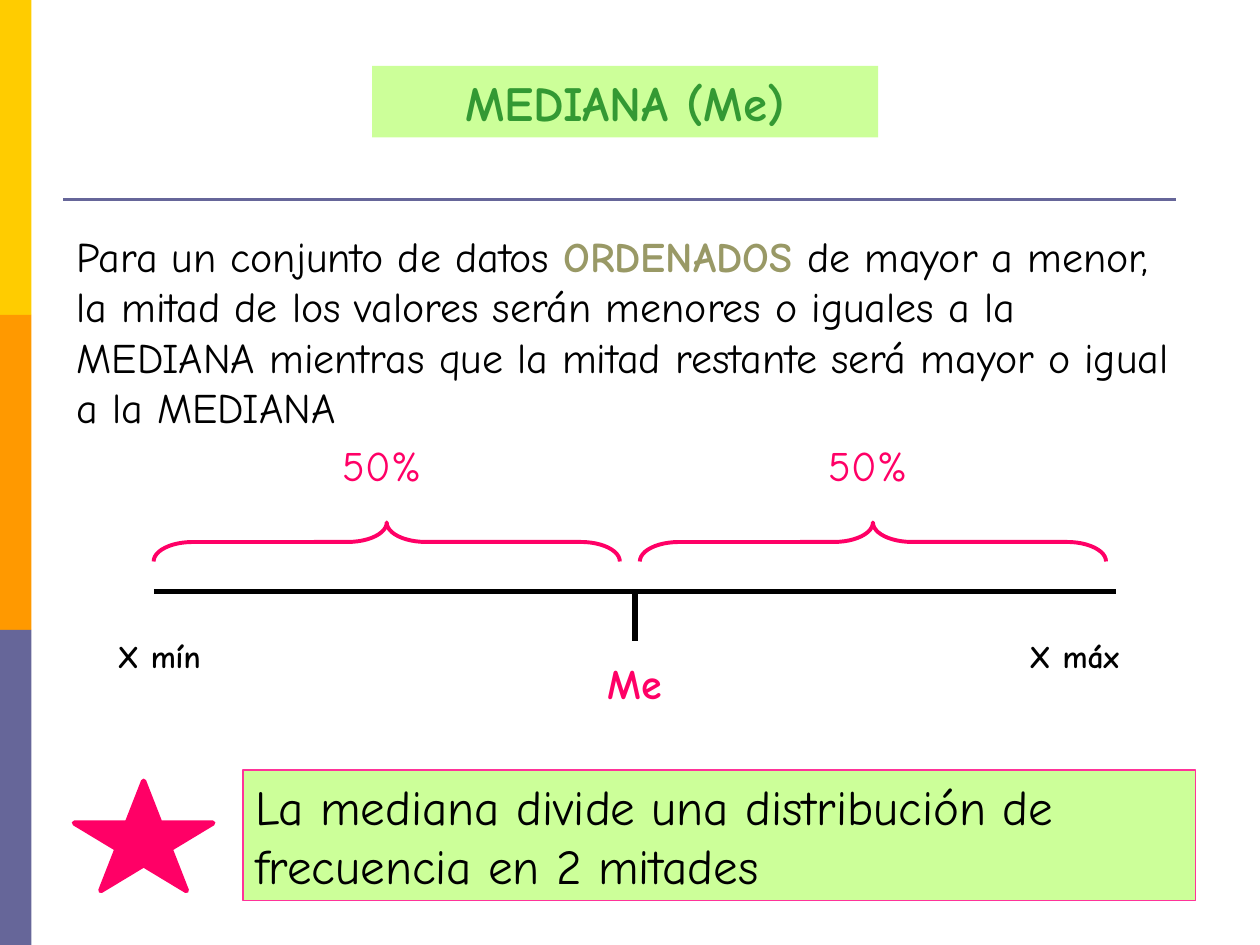
from dataclasses import dataclass

from lxml import etree
from pptx import Presentation
from pptx import util as u
from pptx.dml.color import RGBColor
from pptx.enum import shapes, text
from pptx.oxml.ns import qn

FONT = "Comic Neue"
PINK, LIME, BLACK, SLATE = "FF0066", "CCFF99", "000000", "666699"
LEFT, MID = text.PP_ALIGN.LEFT, text.PP_ALIGN.CENTER
KIND = shapes.MSO_SHAPE


@dataclass
class Run:
    text: str
    size: float = 24
    color: str = BLACK
    bold: bool = False


@dataclass
class Label:
    box: tuple
    runs: list
    align: int = LEFT


@dataclass
class Rule:
    start: tuple
    end: tuple
    color: str
    width: float


def rgb(code: str) -> RGBColor:
    return RGBColor.from_string(code)


def points(vals) -> list:
    return [u.Pt(v) for v in vals]


def apply(item, vals: dict) -> None:
    for name, val in vals.items():
        setattr(item, name, val)


def write(shape, runs: list, align: int) -> None:
    frame = shape.text_frame
    apply(frame, {
        "word_wrap": True,
        "auto_size": text.MSO_AUTO_SIZE.NONE,
        "vertical_anchor": text.MSO_ANCHOR.TOP,
        "margin_left": u.Pt(7.2), "margin_right": u.Pt(7.2),
        "margin_top": u.Pt(3.6), "margin_bottom": u.Pt(3.6),
    })
    para = frame.paragraphs[0]
    apply(para, {"alignment": align, "space_before": u.Pt(0)})
    for run in runs:
        part = para.add_run()
        part.text = run.text
        apply(part.font, {"name": FONT, "size": u.Pt(run.size), "bold": run.bold})
        part.font.color.rgb = rgb(run.color)


def paint(shape, fill: str = "", line: str = "", width: float = 0) -> None:
    """Set fill and outline; an empty colour means none."""
    if fill:
        shape.fill.solid()
        shape.fill.fore_color.rgb = rgb(fill)
    else:
        shape.fill.background()
    if line:
        shape.line.color.rgb = rgb(line)
        shape.line.width = u.Pt(width)
    else:
        shape.line.fill.background()


def draw(slide, kind, box: tuple, **look):
    shape = slide.shapes.add_shape(kind, *points(box))
    shape.shadow.inherit = False
    paint(shape, **look)
    return shape


def label(slide, item: Label) -> None:
    write(slide.shapes.add_textbox(*points(item.box)), item.runs, item.align)


def rule(slide, item: Rule) -> None:
    line = slide.shapes.add_connector(
        shapes.MSO_CONNECTOR.STRAIGHT, *points(item.start + item.end))
    line.line.color.rgb = rgb(item.color)
    line.line.width = u.Pt(item.width)
    etree.SubElement(line._element.spPr, qn("a:effectLst"))


def brace(slide, mid: float) -> None:
    """Draw a brace opening downwards, centred on mid, with its share above."""
    deep, span, y = 22.3, 266.4, 309.7
    shape = draw(slide, KIND.LEFT_BRACE,
                 (mid - deep / 2, y - span / 2, deep, span),
                 line=PINK, width=2.25)
    shape.adjustments[0] = 1.0
    shape.rotation = 90
    label(slide, Label((mid - 48, 247.7, 90.7, 36), [Run("50%", color=PINK)], MID))


def main() -> None:
    deck = Presentation()
    deck.slide_width, deck.slide_height = points((720, 540))
    slide = deck.slides.add_slide(deck.slide_layouts[5])

    for i, color in enumerate(("FFCC00", "FF9900", SLATE)):
        draw(slide, KIND.RECTANGLE, (0, 180 * i, 18, 180), fill=color)

    title = slide.shapes.title
    sides = ("left", "top", "width", "height")
    apply(title, dict(zip(sides, points((212.6, 37.6, 289.2, 41)))))
    paint(title, fill=LIME)
    write(title, [Run("MEDIANA (Me)", 28, "339933", True)], MID)

    axis, mid = 338.2, 362.9
    for item in (
        Rule((36, 114), (672, 114), SLATE, 1.5),
        Rule((mid, axis), (mid, 366.5), BLACK, 3),
        Rule((88, axis), (638, axis), BLACK, 3),
    ):
        rule(slide, item)

    for item in (
        Label((36.8, 128.2, 640.8, 122.4), [
            Run("Para un conjunto de datos "),
            Run("ORDENADOS ", color="999966", bold=True),
            Run("de mayor a menor, la mitad de los valores serán menores o "
                "iguales a la MEDIANA mientras que la mitad restante será "
                "mayor o igual a la MEDIANA"),
        ]),
        Label((60, 360.7, 90.7, 28.8), [Run("X mín", 18, bold=True)]),
        Label((581, 360.7, 90.7, 28.8), [Run("X máx", 18, bold=True)]),
        Label((317.5, 372.2, 90.7, 36), [Run("Me", 24, PINK, True)], MID),
    ):
        label(slide, item)

    for x in (221, 498.8):
        brace(slide, x)

    note = draw(slide, KIND.RECTANGLE, (138.8, 440.1, 544.4, 74.6),
                fill=LIME, line="FF3399", width=0.75)
    write(note, [Run("La mediana divide una distribución de frecuencia "
                     "en 2 mitades", 28)], LEFT)
    draw(slide, KIND.STAR_5_POINT, (42.5, 446.4, 79.2, 62.6),
         fill=PINK, line=PINK, width=3)

    deck.save("out.pptx")


if __name__ == "__main__":
    main()
